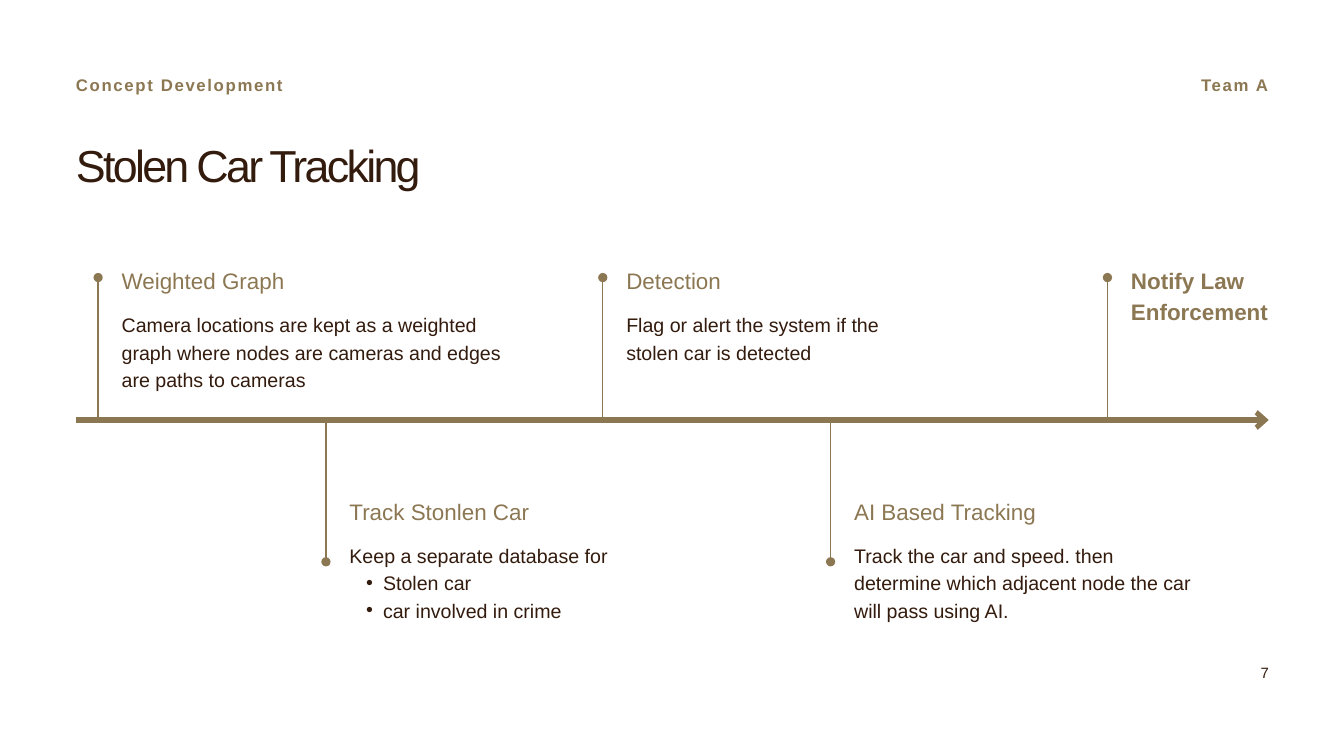
from dataclasses import dataclass

from lxml.etree import SubElement
from pptx import Presentation
from pptx.dml.color import RGBColor
from pptx.enum.shapes import MSO_CONNECTOR
from pptx.enum.text import MSO_AUTO_SIZE, PP_ALIGN
from pptx.oxml.ns import qn
from pptx.slide import Slide
from pptx.util import Inches, Pt

HUES = {"gold": "8C7753", "dark": "331B0D"}
LEFT = 1.13
AXIS = 6.25


@dataclass
class Style:
    """Look of a text."""
    size: float
    line: float
    hue: str = "dark"
    bold: bool = False
    space: float = 0
    align: PP_ALIGN = PP_ALIGN.LEFT


@dataclass
class Mark:
    """Marker at one end of a line."""
    tag: str
    kind: str
    size: str


@dataclass
class Event:
    """One stop on the timeline."""
    x: float
    above: bool
    title: str
    wide: float = 3.25
    body: str = ""
    span: float = 5.05
    deep: float = 1.21
    items: tuple[str, ...] = ()
    bold: bool = False
    tall: float = 0.44


EVENTS = [
    Event(1.46, True, "Weighted Graph", span=6.01,
          body="Camera locations are kept as a weighted graph where nodes "
               "are cameras and edges are paths to cameras"),
    Event(4.85, False, "Track Stonlen Car", body="Keep a separate database for",
          items=("Stolen car", "car involved in crime")),
    Event(8.97, True, "Detection", span=4.36, deep=0.81,
          body="Flag or alert the system if the stolen car is detected"),
    Event(12.36, False, "AI Based Tracking", wide=4.12,
          body="Track the car and speed. then determine which adjacent node "
               "the car will pass using AI."),
    Event(16.48, True, "Notify Law Enforcement", wide=2.49, bold=True, tall=0.9),
]


def write(slide: Slide, box: tuple[float, ...], text: str, style: Style,
          items: tuple[str, ...] = ()) -> None:
    """Add a text box, with bulleted items after the text."""
    frame = slide.shapes.add_textbox(*map(Inches, box)).text_frame
    frame.word_wrap = True
    frame.auto_size = MSO_AUTO_SIZE.SHAPE_TO_FIT_TEXT
    frame.margin_left = frame.margin_right = 0
    frame.margin_top = frame.margin_bottom = 0
    for row, words in enumerate((text, *items)):
        para = frame.add_paragraph() if row else frame.paragraphs[0]
        run = para.add_run()
        run.text = words
        para.alignment = style.align
        para.line_spacing = Pt(style.line)
        if row:
            para.level = 1
            props = para._p.get_or_add_pPr()
            props.set("marL", str(Inches(0.5)))
            props.set("indent", str(Inches(-0.25)))
            SubElement(props, qn("a:buFont"), typeface="Arial")
            SubElement(props, qn("a:buChar"), char="•")
        font = para.font
        font.name = "Arial"
        font.size = Pt(style.size)
        font.bold = style.bold
        font.color.rgb = RGBColor.from_string(HUES[style.hue])
        if style.space:
            run._r.get_or_add_rPr().set("spc", str(round(style.space * 100)))


def draw(slide: Slide, start: tuple[float, float], end: tuple[float, float],
         width: float, mark: Mark) -> None:
    """Add a gold line with a marker at one end."""
    line = slide.shapes.add_connector(
        MSO_CONNECTOR.STRAIGHT, *map(Inches, (*start, *end)))
    line.line.color.rgb = RGBColor.from_string(HUES["gold"])
    line.line.width = Pt(width)
    tip = SubElement(line.line._get_or_add_ln(), qn(mark.tag), type=mark.kind)
    tip.set("w", "lg" if mark.kind == "oval" else "med")
    tip.set("len", mark.size)
    SubElement(line._element.spPr, qn("a:effectLst"))


def place(slide: Slide, event: Event) -> None:
    """Draw the stem and the texts of an event."""
    tip, top = (4.13, 3.91) if event.above else (8.36, 7.34)
    tag = "a:headEnd" if event.above else "a:tailEnd"
    high, low = sorted((tip, AXIS))
    draw(slide, (event.x, high), (event.x, low), 1.5, Mark(tag, "oval", "lg"))
    left = event.x + 0.35
    write(slide, (left, top, event.wide, event.tall), event.title,
          Style(24, 33.6, "gold", event.bold))
    if event.body:
        write(slide, (left, top + 0.69, event.span, event.deep), event.body,
              Style(21, 29.4), event.items)


def main() -> None:
    """Build the timeline slide."""
    deck = Presentation()
    deck.slide_width, deck.slide_height = Inches(20), Inches(11.25)
    slide = deck.slides.add_slide(deck.slide_layouts[6])
    write(slide, (LEFT, 2.18, 8.88, 0.7), "Stolen Car Tracking",
          Style(48, 48, space=-2.9))
    write(slide, (13.89, 9.83, 4.99, 0.3), "7",
          Style(16, 22.4, align=PP_ALIGN.RIGHT))
    write(slide, (LEFT, 1.16, 8.03, 0.27), "Concept Development",
          Style(18, 18, "gold", True, 1.75, PP_ALIGN.JUSTIFY))
    write(slide, (15.76, 1.16, 3.11, 0.27), "Team A",
          Style(18, 18, "gold", True, 1.75, PP_ALIGN.RIGHT))
    draw(slide, (LEFT, AXIS), (18.88, AXIS), 6, Mark("a:tailEnd", "arrow", "sm"))
    for event in EVENTS:
        place(slide, event)
    deck.save("out.pptx")


if __name__ == "__main__":
    main()
